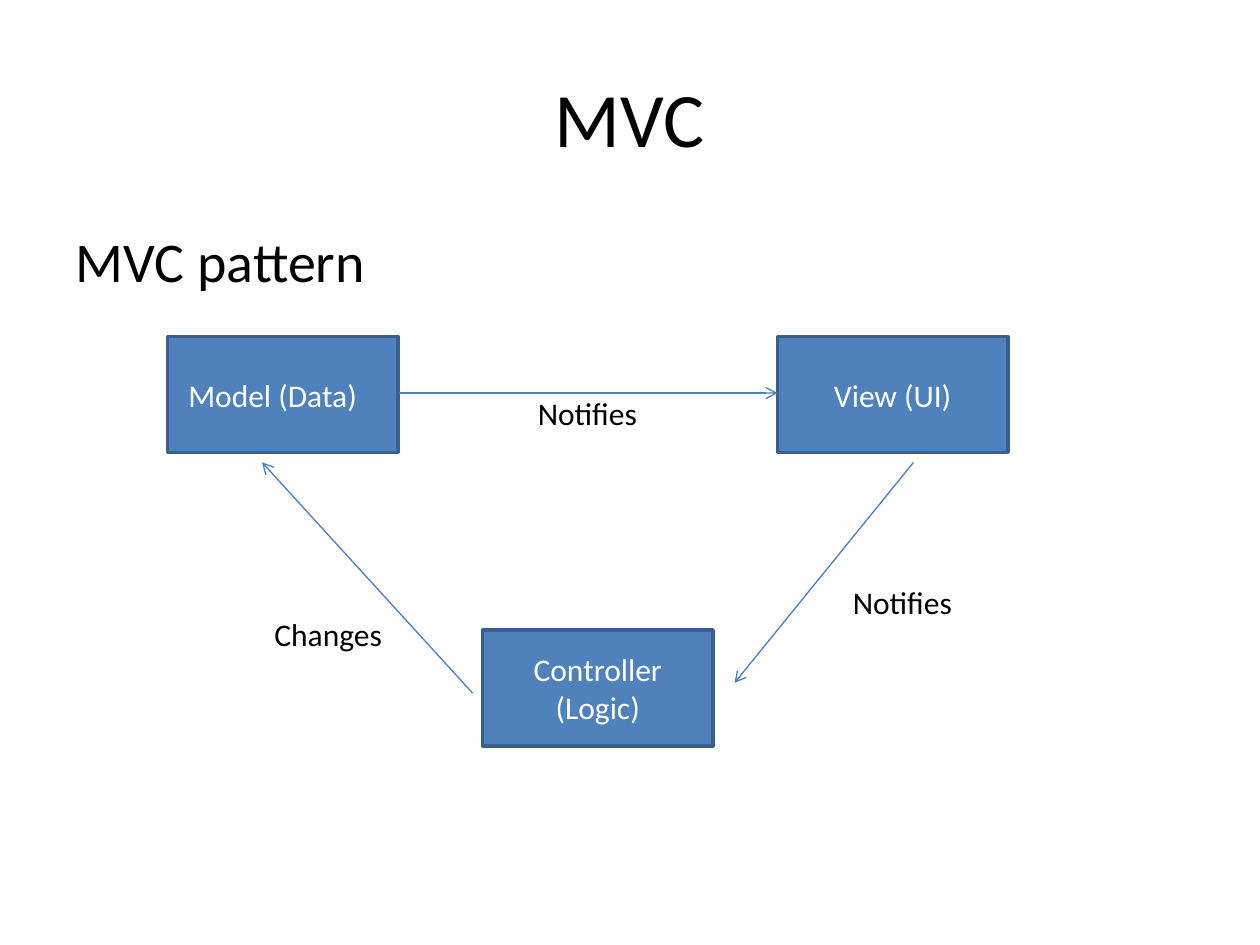
from lxml.etree import SubElement
from pptx import Presentation
from pptx.dml.color import RGBColor
from pptx.enum.shapes import MSO_CONNECTOR as Connector, MSO_SHAPE as Shape
from pptx.enum.text import MSO_ANCHOR as Anchor, MSO_AUTO_SIZE as AutoSize, PP_ALIGN as Align
from pptx.oxml.ns import qn
from pptx.util import Inches, Pt

BLACK = RGBColor(0x00, 0x00, 0x00)
WHITE = RGBColor(0xFF, 0xFF, 0xFF)
BOX_FILL = RGBColor(0x4F, 0x81, 0xBD)
BOX_LINE = RGBColor(0x3A, 0x5F, 0x8C)
ARROW_LINE = RGBColor(0x4B, 0x7E, 0xBC)

BOX_SIZE = (1.83, 0.92)
TOP_ROW = 2.67


class DiagramSlide:
    """Holds the style and the current slide."""

    font_name = "Calibri"
    text_size = 18

    def __init__(self, presentation):
        """Add a title and content slide."""
        self.slide = presentation.slides.add_slide(presentation.slide_layouts[1])

    def set_text(self, shape, text, size, color, align, anchor):
        """Set the text of a shape and format its runs."""
        frame = shape.text_frame
        frame.text = text
        frame.vertical_anchor = anchor
        for paragraph in frame.paragraphs:
            paragraph.alignment = align
            for run in paragraph.runs:
                run.font.name = self.font_name
                run.font.size = Pt(size)
                run.font.color.rgb = color

    def place(self, shape, left, top, width, height):
        """Move and size a placeholder."""
        shape.left, shape.top = Inches(left), Inches(top)
        shape.width, shape.height = Inches(width), Inches(height)

    def title(self, text):
        """Fill the title placeholder."""
        title = self.slide.shapes.title
        self.place(title, 0.5, 0.3, 9, 1.25)
        self.set_text(title, text, 44, BLACK, Align.CENTER, Anchor.MIDDLE)

    def body(self, text):
        """Fill the body placeholder with an unbulleted line."""
        body = self.slide.placeholders[1]
        self.place(body, 0.5, 1.75, 9, 4.95)
        self.set_text(body, text, 32, BLACK, Align.LEFT, Anchor.TOP)
        properties = body.text_frame.paragraphs[0]._p.get_or_add_pPr()
        properties.set("marL", str(Inches(0.38)))
        properties.set("indent", str(Inches(-0.38)))
        SubElement(properties, qn("a:buNone"))

    def box(self, text, left, top):
        """Add a component box."""
        width, height = BOX_SIZE
        box = self.slide.shapes.add_shape(
            Shape.RECTANGLE, Inches(left), Inches(top), Inches(width), Inches(height))
        box.shadow.inherit = False
        box.fill.solid()
        box.fill.fore_color.rgb = BOX_FILL
        box.line.color.rgb = BOX_LINE
        box.line.width = Pt(2)
        box.text_frame.word_wrap = True
        self.set_text(box, text, self.text_size, WHITE, Align.CENTER, Anchor.MIDDLE)

    def arrow(self, start, end):
        """Add a line with an open arrowhead at its end."""
        arrow = self.slide.shapes.add_connector(
            Connector.STRAIGHT, *(Inches(value) for value in start + end))
        arrow.line.color.rgb = ARROW_LINE
        arrow.line.width = Pt(0.75)
        properties = arrow._element.spPr
        SubElement(properties.find(qn("a:ln")), qn("a:tailEnd"), type="arrow")
        SubElement(properties, qn("a:effectLst"))

    def label(self, text, left, top, width):
        """Add an unwrapped arrow label."""
        label = self.slide.shapes.add_textbox(
            Inches(left), Inches(top), Inches(width), Inches(0.4))
        self.set_text(label, text, self.text_size, BLACK, Align.LEFT, Anchor.TOP)
        label.text_frame.word_wrap = False
        label.text_frame.auto_size = AutoSize.SHAPE_TO_FIT_TEXT


def main():
    """Build the MVC slide."""
    presentation = Presentation()
    presentation.slide_width, presentation.slide_height = Inches(10), Inches(7.5)
    diagram = DiagramSlide(presentation)
    diagram.title("MVC")
    diagram.body("MVC pattern")

    for text, left, top in (
        ("Model (Data)\t", 1.33, TOP_ROW),
        ("Controller (Logic)", 3.83, 5),
        ("View (UI)", 6.17, TOP_ROW),
    ):
        diagram.box(text, left, top)

    for start, end in (
        ((3.17, 3.12), (6.17, 3.12)),
        ((7.25, 3.67), (5.83, 5.42)),
        ((3.75, 5.5), (2.08, 3.67)),
    ):
        diagram.arrow(start, end)

    for text, left, top, width in (
        ("Notifies", 4.17, 3.08, 1),
        ("Notifies", 6.67, 4.58, 1),
        ("Changes", 2.08, 4.83, 1.07),
    ):
        diagram.label(text, left, top, width)

    presentation.save("out.pptx")


main()
